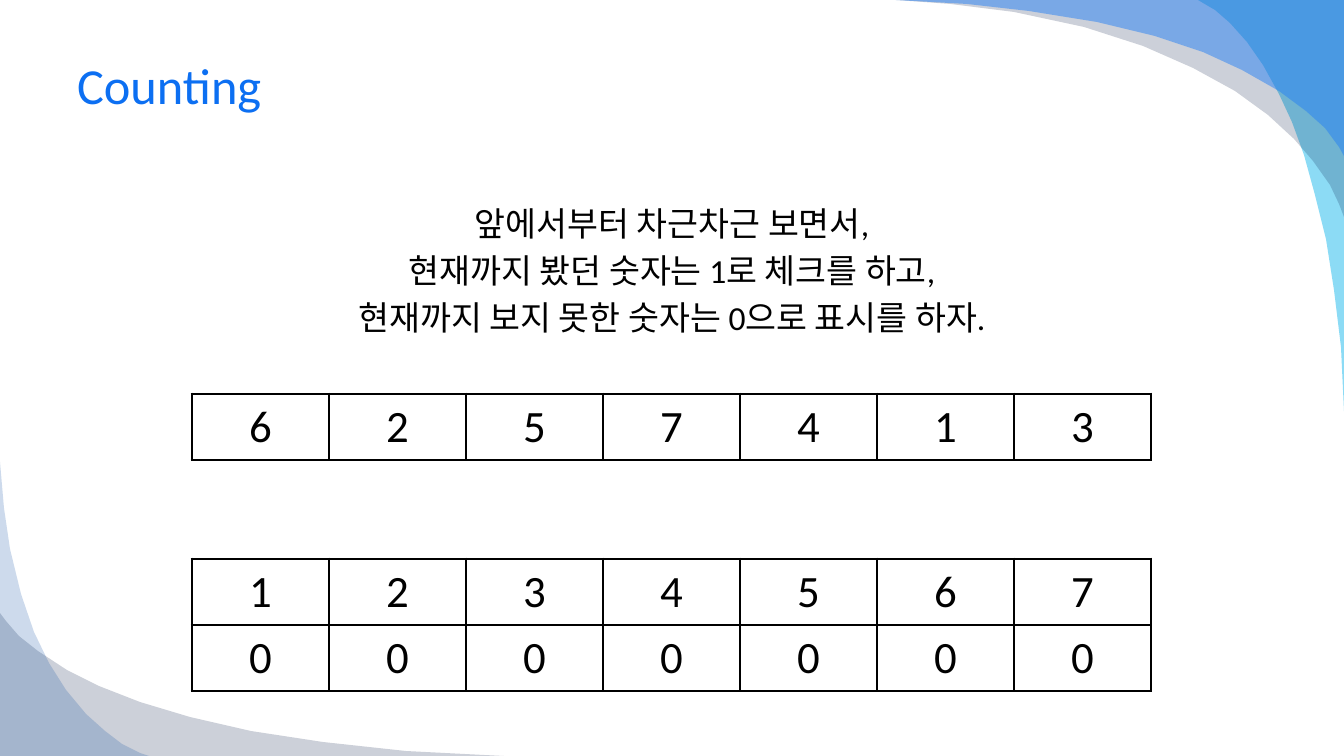
"""Build the Counting slide: page swooshes, a rule in words and two number tables."""
from dataclasses import dataclass

from lxml import etree
from pptx import Presentation
from pptx import util as u
from pptx.dml.color import RGBColor
from pptx.enum import text
from pptx.oxml.ns import qn


@dataclass(frozen=True)
class Theme:
    font: str = "Calibri"
    title_size: int = 36
    rule_size: int = 24
    number_size: int = 32
    border_width: float = 2.25
    title: str = "0C6FF2"
    ink: str = "000000"
    paper: str = "FFFFFF"
    sky: str = "00B1E9"
    navy: str = "021741"
    azure: str = "247FF4"
    cobalt: str = "084AA1"


theme = Theme()
SCALE = 12192000 / 1344
WIDTH, HEIGHT = 1344, 756


def px(length):
    return u.Emu(round(length * SCALE))


def set_type(paragraph, size, color, align):
    paragraph.alignment = align
    paragraph.font.name = theme.font
    paragraph.font.size = u.Pt(size)
    paragraph.font.color.rgb = RGBColor.from_string(color)


deck = Presentation()
deck.slide_width, deck.slide_height = px(WIDTH), px(HEIGHT)
slide = deck.slides.add_slide(deck.slide_layouts[5])

swooshes = [
    (theme.sky, 45, [
        (1344, 411), (1344, 0), (1198, 0), (1203, 3), (1215, 10), (1230, 23),
        (1247, 42), (1263, 65), (1279, 94), (1292, 122), (1304, 155),
        (1315, 195), (1326, 239), (1334, 290), (1341, 347)]),
    (theme.navy, 20, [
        (896, 0), (1344, 0), (1344, 217), (1339, 204), (1330, 185),
        (1313, 161), (1294, 139), (1268, 115), (1235, 91), (1193, 68),
        (1143, 46), (1084, 27), (1014, 12), (950, 4)]),
    (theme.azure, 49, [
        (896, 0), (1344, 0), (1344, 156), (1339, 147), (1325, 128),
        (1306, 111), (1279, 91), (1242, 70), (1203, 52), (1155, 36),
        (1097, 22), (1029, 11), (967, 4)]),
    (theme.navy, 20, [
        (504, 756), (0, 756), (0, 613), (6, 621), (19, 636), (38, 651),
        (67, 670), (99, 686), (140, 702), (190, 717), (251, 731),
        (323, 742), (406, 751)]),
    (theme.cobalt, 20, [
        (0, 462), (0, 756), (149, 756), (140, 753), (122, 744), (105, 731),
        (86, 714), (66, 690), (49, 663), (34, 632), (21, 594), (10, 549),
        (4, 508)]),
]
for color, opacity, outline in swooshes:
    builder = slide.shapes.build_freeform(*outline[0], scale=SCALE)
    builder.add_line_segments(outline[1:], close=True)
    swoosh = builder.convert_to_shape()
    swoosh.shadow.inherit = False
    swoosh.line.fill.background()
    swoosh.fill.solid()
    swoosh.fill.fore_color.rgb = RGBColor.from_string(color)
    tint = swoosh.element.find(".//" + qn("a:srgbClr"))
    etree.SubElement(tint, qn("a:alpha"), val=str(opacity * 1000))

title = slide.shapes.title
title.left, title.top, title.width, title.height = px(67), px(33), px(1210), px(102)
title.text_frame.text = "Counting"
title.text_frame.vertical_anchor = text.MSO_ANCHOR.MIDDLE
set_type(title.text_frame.paragraphs[0], theme.title_size, theme.title, text.PP_ALIGN.LEFT)

rule = slide.shapes.add_textbox(px(67), px(198), px(1210), px(161)).text_frame
rule.word_wrap = True
rule.text = "\n".join([
    "앞에서부터 차근차근 보면서,",
    "현재까지 봤던 숫자는 1로 체크를 하고,",
    "현재까지 보지 못한 숫자는 0으로 표시를 하자.",
])
for index, sentence in enumerate(rule.paragraphs):
    set_type(sentence, theme.rule_size, theme.ink, text.PP_ALIGN.CENTER)
    sentence.space_before = u.Pt(theme.rule_size * 0.2 if index else 0)

COLUMN, ROW = 137, 66
number_rows = [
    (559, ["1234567", "0000000"]),
    (394, ["6257413"]),
]
for top, rows in number_rows:
    columns = len(rows[0])
    numbers = slide.shapes.add_table(
        len(rows), columns, px(192), px(top),
        px(columns * COLUMN), px(len(rows) * ROW)).table
    numbers.first_row = numbers.horz_banding = False
    for r, row in enumerate(rows):
        for c, number in enumerate(row):
            cell = numbers.cell(r, c)
            cell.text = number
            cell.vertical_anchor = text.MSO_ANCHOR.MIDDLE
            set_type(cell.text_frame.paragraphs[0], theme.number_size,
                     theme.ink, text.PP_ALIGN.CENTER)
            properties = cell._tc.get_or_add_tcPr()
            for side in ("a:lnL", "a:lnR", "a:lnT", "a:lnB"):
                border = etree.SubElement(
                    properties, qn(side), w=str(u.Pt(theme.border_width)))
                paint = etree.SubElement(border, qn("a:solidFill"))
                etree.SubElement(paint, qn("a:srgbClr"), val=theme.ink)
            cell.fill.solid()
            cell.fill.fore_color.rgb = RGBColor.from_string(theme.paper)

deck.save("out.pptx")
